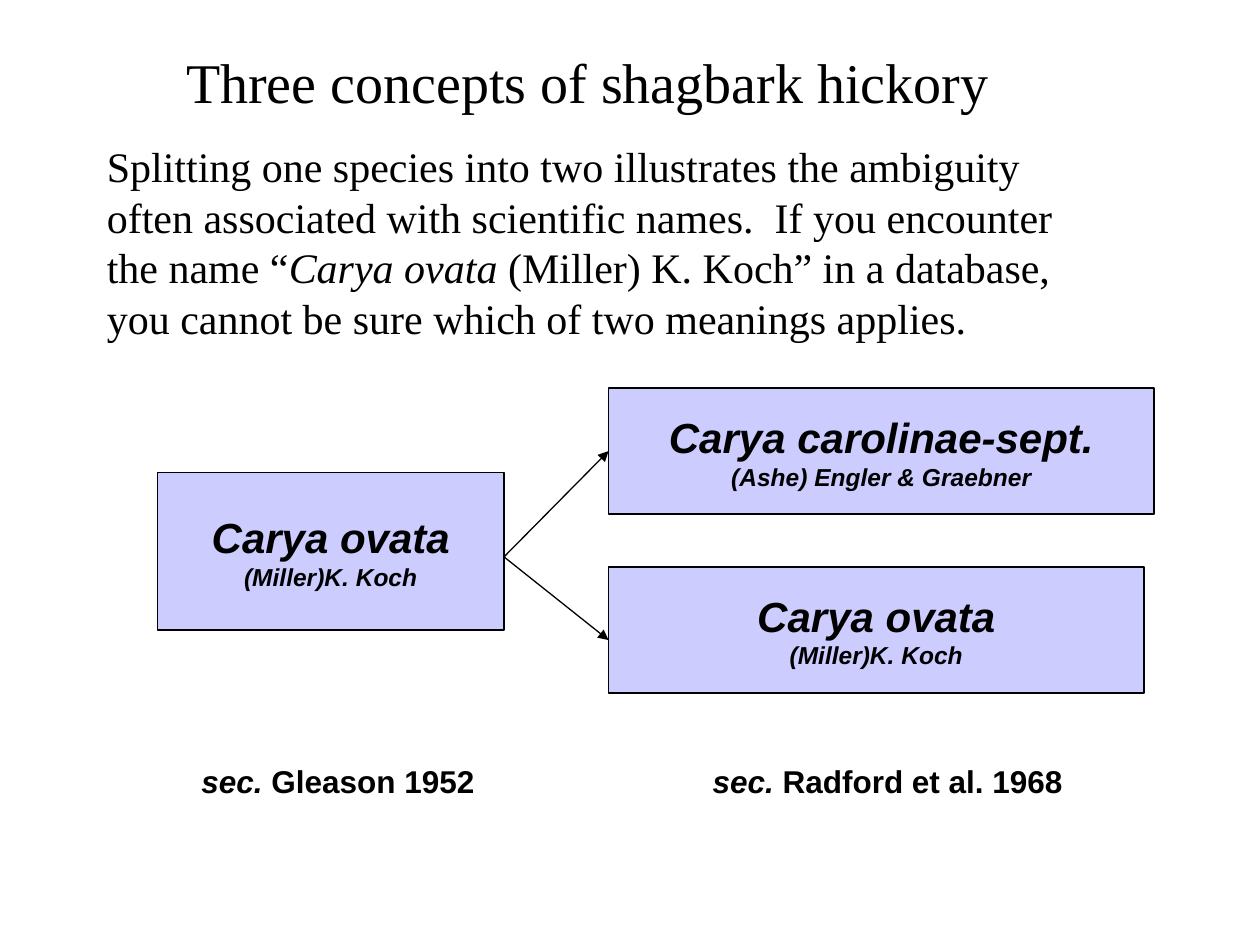
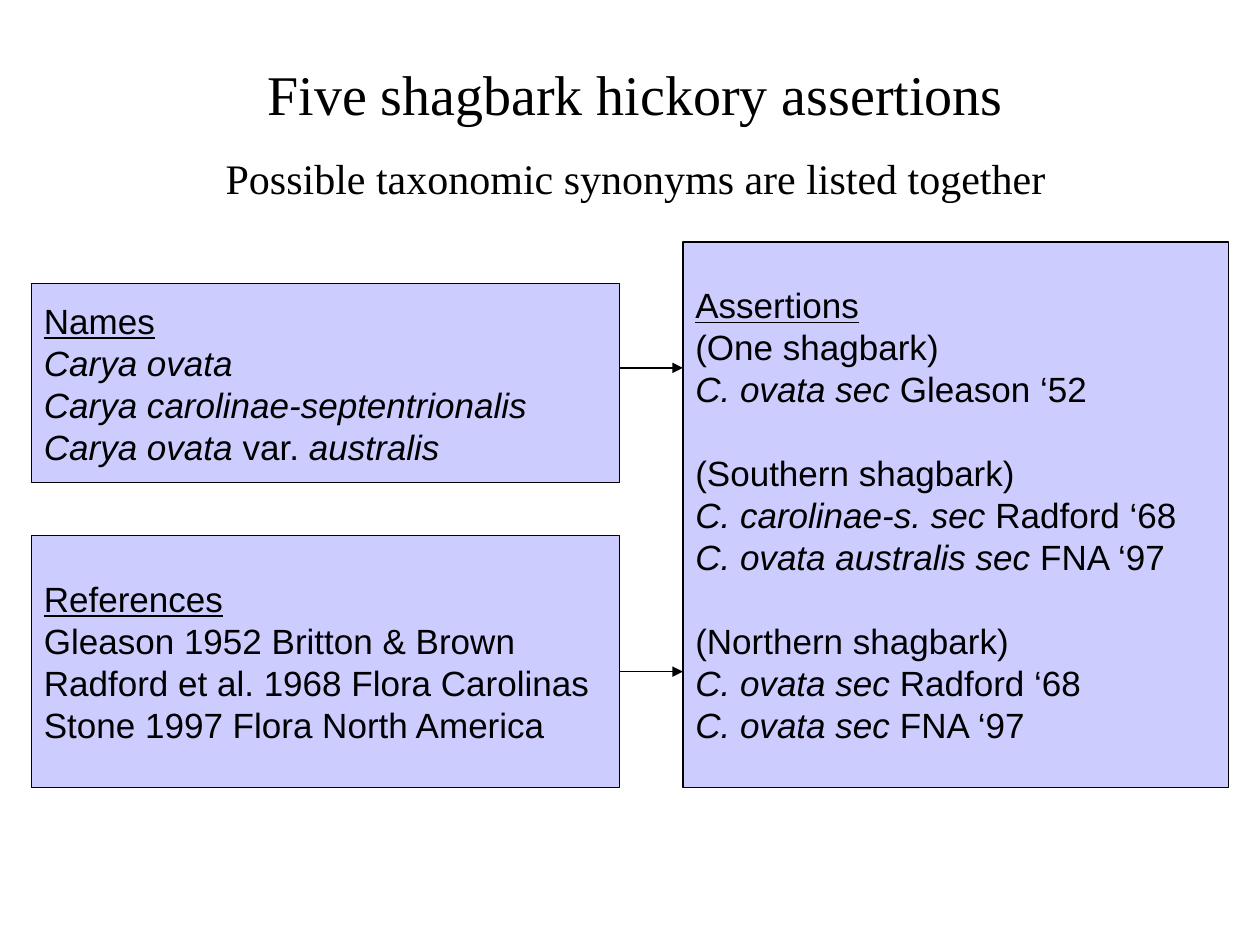
from lxml import etree
from pptx import Presentation
from pptx.dml.color import RGBColor
from pptx.enum.shapes import MSO_CONNECTOR, MSO_SHAPE
from pptx.enum.text import MSO_ANCHOR, MSO_AUTO_SIZE, PP_ALIGN
from pptx.oxml.ns import qn
from pptx.util import Inches, Pt

COLORS = {"ink": "000000", "box": "CCCCFF"}
SERIF, SANS = "Times New Roman", "Arial"
LEFT, CENTER = PP_ALIGN.LEFT, PP_ALIGN.CENTER
LINE_HEIGHT = 1.2


def rgb(name):
    return RGBColor.from_string(COLORS[name])


def write_lines(frame, lines, font, align, anchor=MSO_ANCHOR.TOP):
    frame.word_wrap = True
    frame.auto_size = MSO_AUTO_SIZE.NONE
    frame.vertical_anchor = anchor
    for index, (size, gap, runs) in enumerate(lines):
        paragraph = frame.add_paragraph() if index else frame.paragraphs[0]
        paragraph.alignment = align
        paragraph.line_spacing = Pt(size * LINE_HEIGHT)
        paragraph.space_before = Pt(gap)
        for text, style in runs:
            run = paragraph.add_run()
            run.text = text
            run.font.name = font
            run.font.size = Pt(size)
            run.font.color.rgb = rgb("ink")
            run.font.bold = "b" in style
            run.font.italic = "i" in style
            run.font.underline = "u" in style


concept_boxes = [
    ((1.25, 3.75, 2.75, 1.25), "Carya ovata", "(Miller)K. Koch"),
    ((4.83, 3.08, 4.33, 1), "Carya carolinae-sept.", "(Ashe) Engler & Graebner"),
    ((4.83, 4.5, 4.25, 1), "Carya ovata", "(Miller)K. Koch"),
]
names = [
    (20, 0, [("Names", "u")]),
    (20, 0, [("Carya ovata", "i")]),
    (20, 0, [("Carya carolinae-septentrionalis", "i")]),
    (20, 0, [("Carya ovata ", "i"), ("var.", ""), (" australis", "i")]),
]
references = [
    (20, 0, [("References", "u")]),
    (20, 0, [("Gleason 1952 Britton & Brown", "")]),
    (20, 0, [("Radford et al. 1968 Flora Carolinas", "")]),
    (20, 0, [("Stone 1997 Flora North America", "")]),
]
assertions = [(20, 0, [("Assertions", "u")])]
assertion_groups = [
    ("(One shagbark)", [("C. ovata sec", " Gleason ‘52")]),
    ("(Southern shagbark)", [("C. carolinae-s. sec", " Radford ‘68"),
                             ("C. ovata australis sec", " FNA ‘97")]),
    ("(Northern shagbark)", [("C. ovata sec", " Radford ‘68"),
                             ("C. ovata sec", " FNA ‘97")]),
]
for index, (heading, entries) in enumerate(assertion_groups):
    assertions.append((20, 24 if index else 0, [(heading, "")]))
    for concept, source in entries:
        assertions.append((20, 0, [(concept, "i"), (source, "")]))

slides = [
    {
        "title": ("Three concepts of shagbark hickory", (0.75, 0.33, 7.83, 0.63)),
        "body": ((0.75, 1.07, 7.83, 1.7), LEFT, [
            ("Splitting one species into two illustrates the ambiguity often associated "
             "with scientific names.  If you encounter the name “", ""),
            ("Carya ovata ", "i"),
            ("(Miller) K. Koch” in a database, you cannot be sure which of two "
             "meanings applies.", ""),
        ]),
        "boxes": [(area, CENTER, [(24, 0, [(name, "bi")]), (14, 0, [(author, "bi")])])
                  for area, name, author in concept_boxes],
        "captions": [((1.5, 6, 2.5, 0.4), LEFT, " Gleason 1952"),
                     ((4.92, 6, 4.25, 0.4), CENTER, " Radford et al. 1968")],
        "arrows": [(4, 4.42, 4.83, 3.58, 1), (4, 4.42, 4.83, 5.08, None)],
    },
    {
        "title": ("Five shagbark hickory assertions", (0.92, 0.42, 8.25, 0.63)),
        "body": ((0.92, 1.16, 8.25, 0.5), CENTER,
                 [("Possible taxonomic synonyms are listed together", "")]),
        "boxes": [((0.25, 2.25, 4.67, 1.58), LEFT, names),
                  ((5.42, 1.92, 4.33, 4.33), LEFT, assertions),
                  ((0.25, 4.25, 4.67, 2), LEFT, references)],
        "captions": [],
        "arrows": [(4.92, y, 5.42, y, None) for y in (2.92, 5.33)],
    },
]

presentation = Presentation()
presentation.slide_width = Inches(10)
presentation.slide_height = Inches(7.5)

for content in slides:
    slide = presentation.slides.add_slide(presentation.slide_layouts[5])

    title_text, area = content["title"]
    title = slide.shapes.title
    title.left, title.top, title.width, title.height = map(Inches, area)
    write_lines(title.text_frame, [(32, 0, [(title_text, "")])], SERIF, CENTER)

    area, align, runs = content["body"]
    body = slide.shapes.add_textbox(*map(Inches, area))
    write_lines(body.text_frame, [(24, 0, runs)], SERIF, align)

    boxes = []
    for area, align, lines in content["boxes"]:
        box = slide.shapes.add_shape(MSO_SHAPE.RECTANGLE, *map(Inches, area))
        box.shadow.inherit = False
        box.fill.solid()
        box.fill.fore_color.rgb = rgb("box")
        box.line.color.rgb = rgb("ink")
        box.line.width = Pt(0.75)
        write_lines(box.text_frame, lines, SANS, align, MSO_ANCHOR.MIDDLE)
        boxes.append(box)

    for area, align, source in content["captions"]:
        caption = slide.shapes.add_textbox(*map(Inches, area))
        runs = [("sec.", "bi"), (source, "b")]
        write_lines(caption.text_frame, [(18, 0, runs)], SANS, align)

    for *ends, target in content["arrows"]:
        arrow = slide.shapes.add_connector(MSO_CONNECTOR.STRAIGHT, *map(Inches, ends))
        if target is not None:
            arrow.end_connect(boxes[target], 1)
        arrow.line.color.rgb = rgb("ink")
        arrow.line.width = Pt(0.75)
        etree.SubElement(arrow.line._get_or_add_ln(), qn("a:tailEnd"), type="triangle")
        etree.SubElement(arrow._element.spPr, qn("a:effectLst"))

presentation.save("out.pptx")
